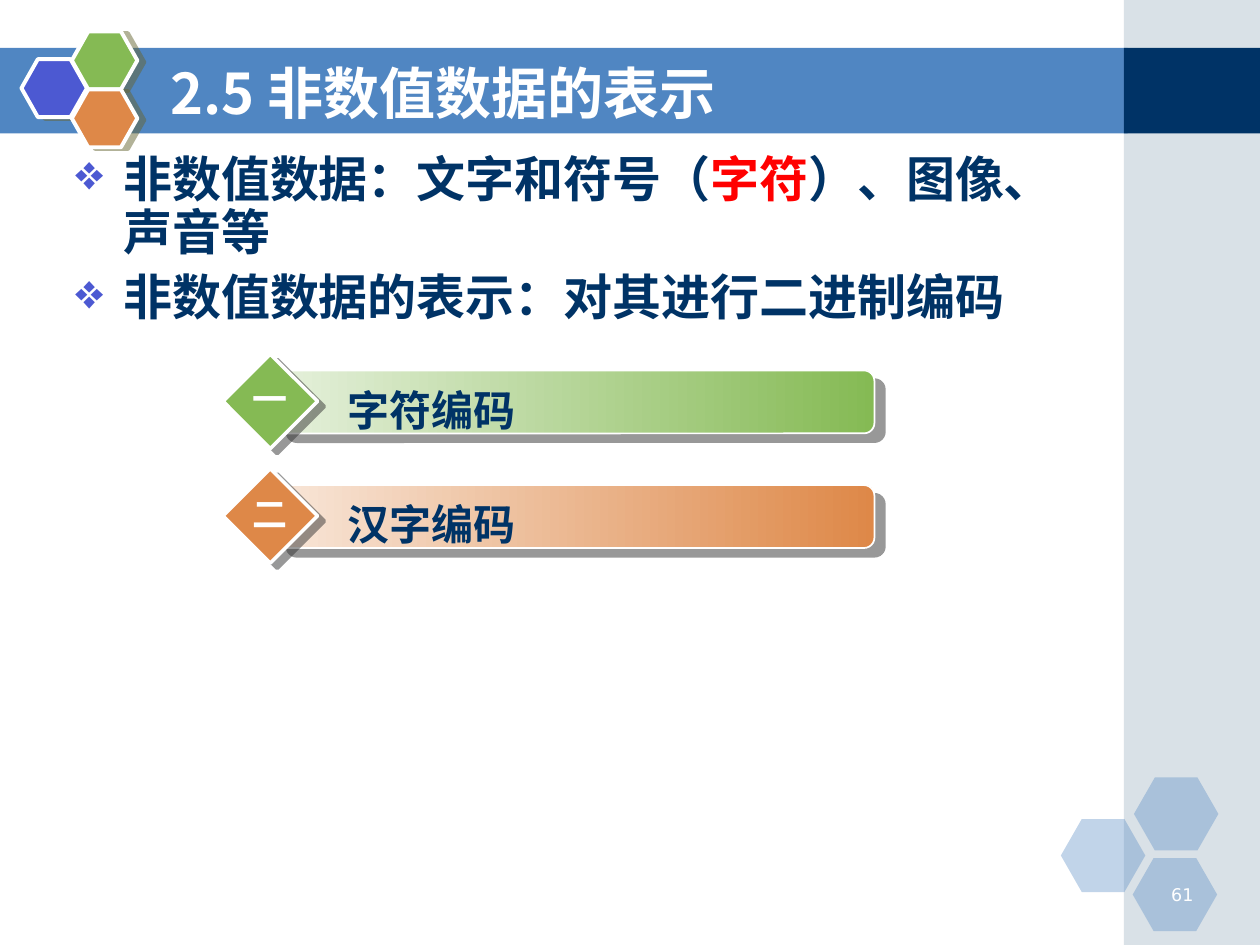
"""Build the section slide on representing non-numeric data."""
import pptx
import pptx.dml.color
import pptx.enum.shapes
import pptx.enum.text
import pptx.oxml
import pptx.oxml.ns
import pptx.util
from lxml import etree

SHAPE = pptx.enum.shapes.MSO_SHAPE
ALIGN = pptx.enum.text.PP_ALIGN
ANCHOR = pptx.enum.text.MSO_ANCHOR
qn = pptx.oxml.ns.qn

COLORS = {
    "white": "FFFFFF", "band": "5086C2", "side": "A0B5C4", "navy": "003366",
    "violet": "4C59D2", "green": "85BA54", "orange": "DE8848", "red": "FF0000",
    "pale green": "E5F0DB", "pale orange": "F8E6D8",
    "olive shadow": "666633", "grey shadow": "333333",
}
CJK = "Noto Sans CJK SC"
WIDTH, HEIGHT = 10, 7.5
SIDE_LEFT, BAND_TOP, BAND_HEIGHT = 8.92, 0.38, 0.68

TITLE = "2.5 非数值数据的表示"
BULLETS = [
    [("非数值数据：文字和符号（", "navy"), ("字符", "red"), ("）、图像、声音等", "navy")],
    [("非数值数据的表示：对其进行二进制编码", "navy")],
]
TOPICS = [("一", "字符编码", "green"), ("二", "汉字编码", "orange")]
PAGE_NUMBER = "61"
CORNER_HEXAGONS = [(8.42, 6.5), (9, 6.17), (8.99, 6.81)]
BADGE_HEXAGONS = [(0.17, 0.47, "violet"), (0.57, 0.25, "green"), (0.57, 0.71, "orange")]
TOPIC_LEFT, TOPIC_TOP, TOPIC_STEP = 1.77, 2.81, 0.91


def rgb(name):
    return pptx.dml.color.RGBColor.from_string(COLORS[name])


def inches(*values):
    return [pptx.util.Inches(value) for value in values]


def set_alpha(color_element, percent):
    etree.SubElement(color_element, qn("a:alpha"), val=str(percent * 1000))


def add_shadow(shape, color, distance, angle):
    effects = shape._element.spPr.find(qn("a:effectLst"))
    shadow = etree.SubElement(
        effects, qn("a:outerShdw"), blurRad="0", dist=str(pptx.util.Pt(distance)),
        dir=str(angle * 60000), algn="ctr", rotWithShape="0")
    set_alpha(etree.SubElement(shadow, qn("a:srgbClr"), val=COLORS[color]), 50)


def add_shape(page, kind, place, *, fill, fade=None, alpha=None, line=None,
              adjust=None, shadow=None):
    shape = page.shapes.add_shape(kind, *inches(*place))
    shape.shadow.inherit = False
    if fade:
        shape.fill.gradient()
        shape.fill.gradient_angle = 0
        for stop, color, position in zip(shape.fill.gradient_stops, (fade, fill), (0, 1)):
            stop.color.rgb = rgb(color)
            stop.position = position
    else:
        shape.fill.solid()
        shape.fill.fore_color.rgb = rgb(fill)
    if alpha:
        set_alpha(shape._element.spPr.find(qn("a:solidFill"))[0], alpha)
    if line:
        shape.line.color.rgb = rgb("white")
        shape.line.width = pptx.util.Pt(line)
    else:
        shape.line.fill.background()
    if adjust:
        shape.adjustments[0] = adjust
    if shadow:
        add_shadow(shape, *shadow)
    return shape


def add_bullet(para):
    properties = para._p.get_or_add_pPr()
    indent = pptx.util.Inches(0.38)
    properties.set("marL", str(indent))
    properties.set("indent", str(-indent))
    color = etree.SubElement(properties, qn("a:buClr"))
    etree.SubElement(color, qn("a:srgbClr"), val=COLORS["violet"])
    etree.SubElement(properties, qn("a:buChar"), char="❖")


def write_text(box, paragraphs, *, size, font=CJK, bold=True, align=ALIGN.LEFT,
               anchor=ANCHOR.TOP, wrap=True, inset=0.1, bullets=False, spacing=1.0,
               before=0):
    frame = box.text_frame
    frame.word_wrap = wrap
    frame.auto_size = pptx.enum.text.MSO_AUTO_SIZE.NONE
    frame.vertical_anchor = anchor
    frame.margin_left = pptx.util.Inches(inset)
    for index, spans in enumerate(paragraphs):
        para = frame.add_paragraph() if index else frame.paragraphs[0]
        para.alignment = align
        para.line_spacing = spacing
        para.space_before = pptx.util.Pt(before if index else 0)
        if bullets:
            add_bullet(para)
        for text, color in spans:
            span = para.add_run()
            span.text = text
            span.font.size = pptx.util.Pt(size)
            span.font.bold = bold
            span.font.color.rgb = rgb(color)
            span.font.name = font
            etree.SubElement(span._r.get_or_add_rPr(), qn("a:ea"), typeface=CJK)


def add_text(page, place, paragraphs, **style):
    box = page.shapes.add_textbox(*inches(*place))
    write_text(box, paragraphs, **style)


def add_background(page):
    add_shape(page, SHAPE.RECTANGLE, (0, BAND_TOP, SIDE_LEFT + 0.03, BAND_HEIGHT), fill="band")
    side_width = WIDTH - SIDE_LEFT
    add_shape(page, SHAPE.RECTANGLE, (SIDE_LEFT, 0, side_width, HEIGHT), fill="side", alpha=40)
    add_shape(page, SHAPE.RECTANGLE, (SIDE_LEFT, BAND_TOP, side_width, BAND_HEIGHT), fill="navy")
    for left, top in CORNER_HEXAGONS:
        add_shape(page, SHAPE.HEXAGON, (left, top, 0.67, 0.58), fill="band", alpha=35,
                  adjust=0.286)
    for left, top, color in BADGE_HEXAGONS:
        add_shape(page, SHAPE.HEXAGON, (left, top, 0.52, 0.46), fill=color, line=2.25,
                  adjust=0.283, shadow=("olive shadow", 4.1, 14))


def add_topic(page, row, number, label, color):
    left, top = TOPIC_LEFT, TOPIC_TOP + row * TOPIC_STEP
    add_shape(page, SHAPE.ROUNDED_RECTANGLE, (left + 0.42, top + 0.13, 4.75, 0.5),
              fill=color, fade="pale " + color, line=1, adjust=0.167,
              shadow=("grey shadow", 7.8, 40))
    add_shape(page, SHAPE.DIAMOND, (left, top, 0.75, 0.75), fill=color, line=2,
              shadow=("grey shadow", 5, 37))
    add_text(page, (left + 0.67, top + 0.19, 3.75, 0.5), [[(label, "navy")]],
             size=24, font="Arial", inset=0.32)
    add_text(page, (left + 0.13, top + 0.14, 0.48, 0.44), [[(number, "white")]],
             size=20, align=ALIGN.CENTER, wrap=False)


def main():
    deck = pptx.Presentation()
    deck.slide_width, deck.slide_height = inches(WIDTH, HEIGHT)
    page = deck.slides.add_slide(deck.slide_layouts[5])
    add_background(page)
    add_text(page, (9.07, 6.97, 0.5, 0.25), [[(PAGE_NUMBER, "white")]],
             size=10, font="DejaVu Sans", bold=False, align=ALIGN.RIGHT)
    title = page.shapes.title
    title.left, title.top, title.width, title.height = inches(1.25, 0.42, 7.33, 0.62)
    write_text(title, [[(TITLE, "white")]], size=32, anchor=ANCHOR.MIDDLE)
    page.shapes._spTree.append(title._element)
    add_text(page, (0.5, 1.18, 7.75, 1.63), BULLETS, size=28, bullets=True,
             spacing=0.9, before=7)
    for row, topic in enumerate(TOPICS):
        add_topic(page, row, *topic)
    deck.save("out.pptx")


if __name__ == "__main__":
    main()
